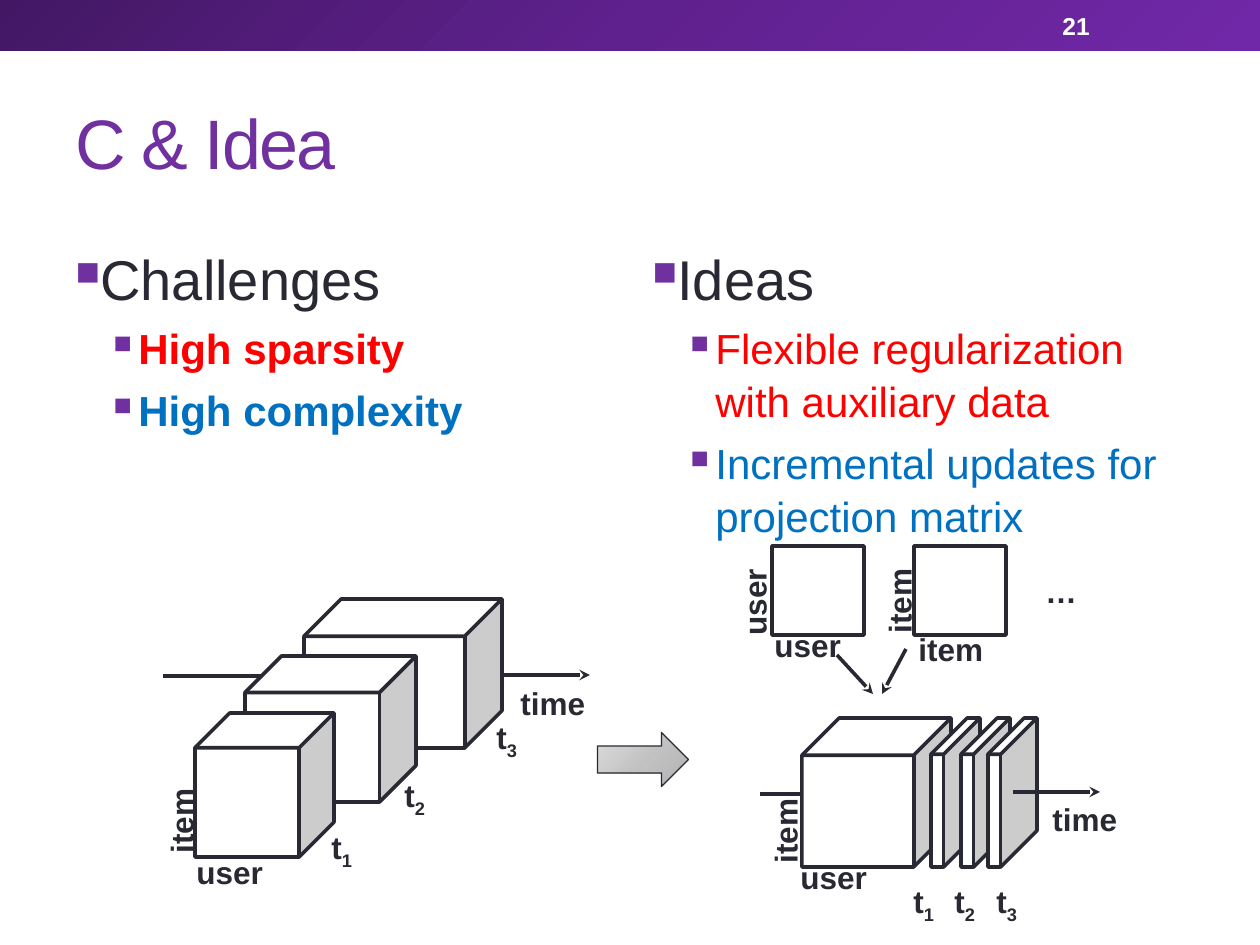
from lxml import etree
from pptx import Presentation
from pptx.dml.color import RGBColor
from pptx.enum.shapes import MSO_CONNECTOR as Link, MSO_SHAPE as Kind
from pptx.enum.text import MSO_ANCHOR as Anchor, MSO_AUTO_SIZE as Fit
from pptx.oxml import parse_xml
from pptx.oxml.ns import nsdecls, qn
from pptx.util import Emu, Pt

INK, PURPLE, RED, BLUE, WHITE = "292934", "7030A0", "FF0000", "0070C0", "FFFFFF"
RADIAL = ('<a:path path="circle"><a:fillToRect l="100000" t="100000"/>'
          '</a:path>')


def px(*vals):
    """Turn pixels into EMU lengths."""
    return [Emu(round(v * 914400 / 126)) for v in vals]


def hue(code):
    """Turn a hex string into a colour."""
    return RGBColor.from_string(code)


def style(font, size, color, bold=False):
    """Set the look of a font."""
    font.name, font.size, font.bold = "Arial", Pt(size), bold
    font.color.rgb = hue(color)


def shape(slide, kind, box, fill=None, line=None):
    """Add a preset shape with a flat fill and an outline."""
    item = slide.shapes.add_shape(kind, *px(*box))
    item.shadow.inherit = False
    if fill:
        item.fill.solid()
        item.fill.fore_color.rgb = hue(fill)
    if line:
        item.line.color.rgb = hue(INK)
        item.line.width = Pt(line)
    else:
        item.line.fill.background()
    return item


def blend(item, stops, way):
    """Give a shape a gradient fill."""
    marks = "".join(f'<a:gs pos="{pos * 1000}"><a:srgbClr val="{code}"/></a:gs>'
                    for pos, code in stops)
    grad = parse_xml(f'<a:gradFill {nsdecls("a")} rotWithShape="1">'
                     f'<a:gsLst>{marks}</a:gsLst>{way}</a:gradFill>')
    item._element.spPr.find(qn("a:prstGeom")).addnext(grad)


def cube(slide, box, depth=0.25):
    """Add a white cube with a dark outline."""
    item = shape(slide, Kind.CUBE, box, WHITE, 2.08)
    item.adjustments[0] = depth


def line(slide, ends, head=False):
    """Add a straight line, with an arrowhead if asked."""
    link = slide.shapes.add_connector(Link.STRAIGHT, *px(*ends))
    link.line.color.rgb = hue(INK)
    link.line.width = Pt(2.08)
    if head:
        tail = etree.SubElement(link.line._get_or_add_ln(), qn("a:tailEnd"))
        tail.set("type", "stealth")
    etree.SubElement(link._element.spPr, qn("a:effectLst"))


def text(slide, box, words, size, color, bold=False):
    """Add a one-line text box centred on its height."""
    item = slide.shapes.add_textbox(*px(*box))
    frame = item.text_frame
    frame.word_wrap = True
    frame.vertical_anchor = Anchor.MIDDLE
    para = frame.paragraphs[0]
    para.text = words
    style(para.font, size, color, bold)
    return para


def label(slide, words, x, y, turn=0, sub=""):
    """Add a bold label, turned or with a subscript."""
    wide = {"t": 48, "…": 57}.get(words, 92)
    item = slide.shapes.add_textbox(*px(x, y, wide, 50))
    item.rotation = turn
    frame = item.text_frame
    frame.word_wrap = False
    frame.auto_size = Fit.SHAPE_TO_FIT_TEXT
    para = frame.paragraphs[0]
    para.add_run().text = words
    if sub:
        low = para.add_run()
        low.text = sub
        low._r.get_or_add_rPr().set("baseline", "-25000")
    style(para.font, 18, INK, True)


def bullet(para, left):
    """Give a paragraph a purple square bullet."""
    props = para._p.get_or_add_pPr()
    hang, = px(25)
    props.set("marL", str(px(left)[0]))
    props.set("indent", str(-hang))
    color = etree.SubElement(props, qn("a:buClr"))
    etree.SubElement(color, qn("a:srgbClr")).set("val", PURPLE)
    etree.SubElement(props, qn("a:buSzPct")).set("val", "60000")
    etree.SubElement(props, qn("a:buChar")).set("char", "■")


def column(slide, x, head, points, bold):
    """Add a heading with its coloured points."""
    frame = slide.shapes.add_textbox(*px(x, 231, 557, 650)).text_frame
    frame.word_wrap = True
    frame.margin_top, = px(10)
    rows = [(head, 32, INK, False)]
    rows += [(words, 24, color, bold) for words, color in points]
    for num, (words, size, color, thick) in enumerate(rows):
        para = frame.add_paragraph() if num else frame.paragraphs[0]
        para.text = words
        para.line_spacing = 1.05
        if num:
            para.level = 1
            para.space_before = Pt(5)
        bullet(para, 63 if num else 25)
        style(para.font, size, color, thick)


def header(slide):
    """Draw the top band, page number and title."""
    band = shape(slide, Kind.RECTANGLE, (0, 0, 1260, 51))
    blend(band, [(0, "431764"), (50, "5F218E"), (100, "7128A8")],
          '<a:lin ang="2700000" scaled="0"/>')
    text(slide, (1050, 3, 147, 45), "21", 14, WHITE, True)
    title = text(slide, (63, 73, 1134, 136), "C & Idea", 40, PURPLE)
    title.runs[0]._r.get_or_add_rPr().set("spc", "-100")


def stack(slide):
    """Draw the cubes that follow each other in time."""
    line(slide, (163, 676, 291, 676))
    for box in ((304, 599, 198, 149), (245, 656, 171, 146),
                (195, 713, 139, 144)):
        cube(slide, box)
    line(slide, (503, 675, 590, 675), True)
    label(slide, "time", 508, 678)
    label(slide, "user", 184, 847)
    label(slide, "item", 135, 795, 270)
    for num, (x, y) in enumerate(((319, 822), (392, 770), (484, 712)), 1):
        label(slide, "t", x, y, sub=str(num))


def slices(slide):
    """Draw the cube with its thin time slices."""
    line(slide, (760, 794, 877, 794))
    cube(slide, (802, 718, 149, 149))
    for x in (931, 961, 988):
        cube(slide, (x, 718, 49, 149), 0.74)
    line(slide, (1013, 792, 1100, 792), True)
    label(slide, "time", 1040, 794)
    label(slide, "user", 788, 852)
    label(slide, "item", 739, 805, 270)
    for num, x in enumerate((901, 942, 984), 1):
        label(slide, "t", x, 876, sub=str(num))


def helpers(slide):
    """Draw the extra square matrices and their arrows."""
    for x in (772, 914):
        cube(slide, (x, 546, 92, 89), 0)
    label(slide, "…", 1033, 566)
    label(slide, "user", 762, 620)
    label(slide, "user", 708, 577, 270)
    label(slide, "item", 853, 575, 270)
    label(slide, "item", 906, 624)
    line(slide, (837, 655, 873, 694), True)
    line(slide, (906, 649, 882, 694), True)


def main():
    """Build the slide and save it."""
    deck = Presentation()
    deck.slide_width, deck.slide_height = px(1260, 945)
    slide = deck.slides.add_slide(deck.slide_layouts[6])
    header(slide)
    column(slide, 63, "Challenges",
           [("High sparsity", RED), ("High complexity", BLUE)], True)
    column(slide, 640, "Ideas",
           [("Flexible regularization with auxiliary data", RED),
            ("Incremental updates for projection matrix", BLUE)], False)
    stack(slide)
    slices(slide)
    arrow = shape(slide, Kind.DOWN_ARROW, (616, 714, 54, 91), line=0.75)
    arrow.rotation = 270
    blend(arrow, [(0, "B2B2B3"), (45, "C1C1C2"), (100, "DDDDDE")], RADIAL)
    helpers(slide)
    deck.save("out.pptx")


if __name__ == "__main__":
    main()
